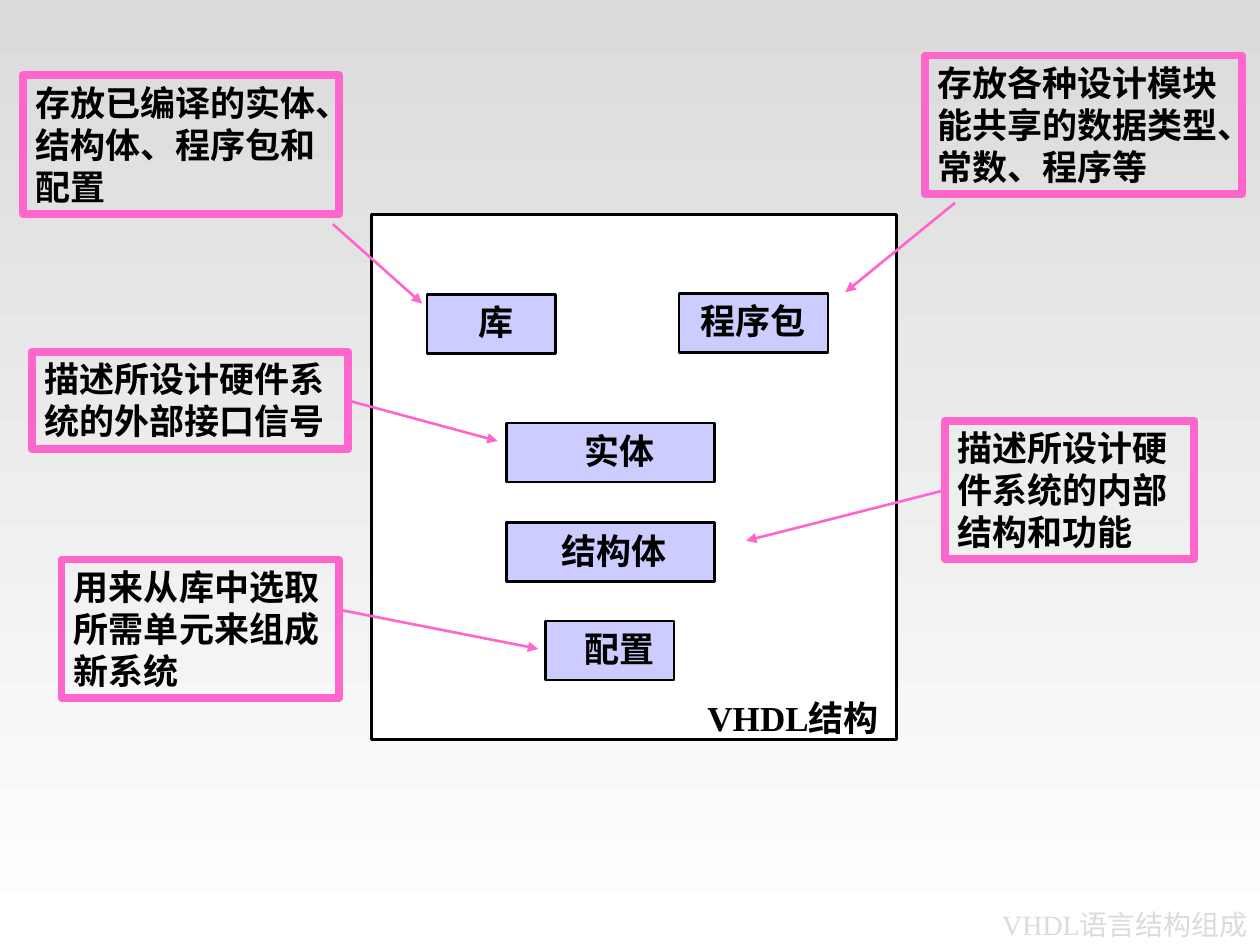
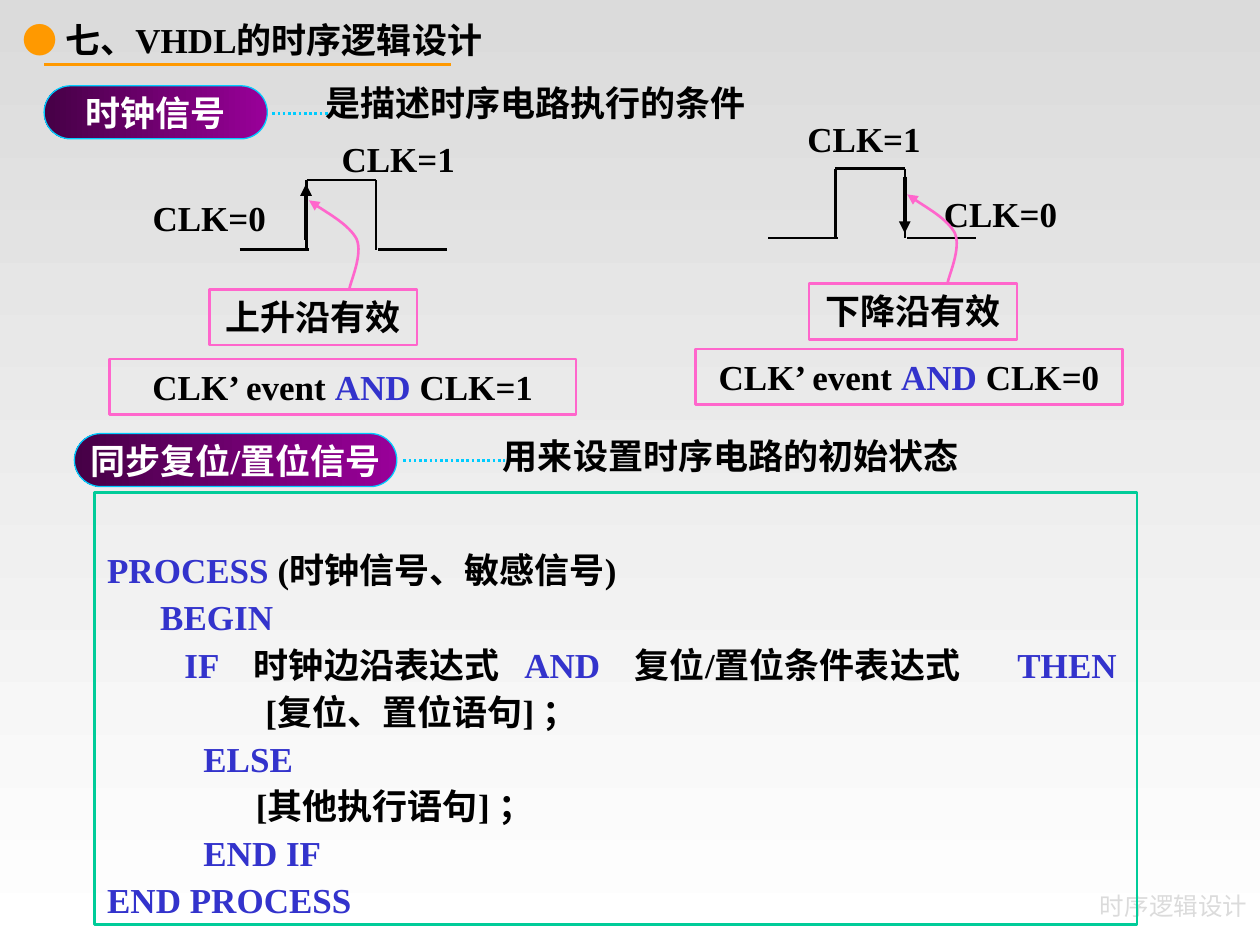
from dataclasses import dataclass

import pptx
import pptx.dml.color
import pptx.enum.dml
import pptx.enum.shapes
import pptx.enum.text
import pptx.oxml.ns
import pptx.oxml.xmlchemy
import pptx.util

Cm = pptx.util.Cm
Pt = pptx.util.Pt
qn = pptx.oxml.ns.qn
ALIGN = pptx.enum.text.PP_ALIGN
ANCHOR = pptx.enum.text.MSO_ANCHOR
SHAPE = pptx.enum.shapes.MSO_SHAPE


@dataclass(frozen=True)
class Theme:
    font: str = "Times New Roman"
    black: str = "000000"
    white: str = "FFFFFF"
    grey: str = "DBDBDB"
    lilac: str = "CCCCFF"
    pink: str = "FF66CC"
    orange: str = "FF9900"
    keyword: str = "3333CC"
    cyan: str = "00CCFF"
    green: str = "00CC99"
    purple: str = "990099"
    plum: str = "460046"
    body: float = 20
    hairline: float = 0.75
    thin: float = 1.5
    medium: float = 2.25
    thick: float = 4.5
    row: float = 1.12


T = Theme()


def rgb(value):
    return pptx.dml.color.RGBColor.from_string(value)


def add_xml(parent, tag, **attributes):
    element = pptx.oxml.xmlchemy.OxmlElement(tag)
    for name, value in attributes.items():
        element.set(name, str(value))
    parent.append(element)
    return element


def set_gradient(fill, first, last, angle):
    fill.gradient()
    fill.gradient_angle = angle
    for stop, color in zip(fill.gradient_stops, (first, last)):
        stop.color.rgb = rgb(color)


def set_line(line, color, width):
    line.color.rgb = rgb(color)
    line.width = Pt(width)


def set_font(r, color, size=T.body, bold=True):
    r.font.name = T.font
    r.font.size = Pt(size)
    r.font.bold = bold
    r.font.color.rgb = rgb(color)


def write_runs(p, parts, align):
    p.alignment = align
    for text, color in parts:
        r = p.add_run()
        r.text = text
        set_font(r, color)


def write_text(sp, parts, align=ALIGN.LEFT):
    tf = sp.text_frame
    tf.word_wrap = True
    tf.vertical_anchor = ANCHOR.TOP
    write_runs(tf.paragraphs[0], parts, align)
    return tf


def add_label(s, left, top, width, parts, align=ALIGN.CENTER):
    sp = s.shapes.add_textbox(Cm(left), Cm(top), Cm(width), Cm(T.row))
    write_text(sp, parts, align)


def add_box(s, left, top, width, height, color, weight, fill=None, kind=SHAPE.RECTANGLE):
    sp = s.shapes.add_shape(kind, Cm(left), Cm(top), Cm(width), Cm(height))
    sp.shadow.inherit = False
    set_line(sp.line, color, weight)
    if fill:
        sp.fill.solid()
        sp.fill.fore_color.rgb = rgb(fill)
    else:
        sp.fill.background()
    return sp


def add_arrowhead(line):
    add_xml(line._get_or_add_ln(), "a:tailEnd", type="triangle")


def add_line(s, start, end, color, weight=T.thin, arrow=False, dotted=False):
    kind = pptx.enum.shapes.MSO_CONNECTOR.STRAIGHT
    sp = s.shapes.add_connector(kind, *(Cm(v) for v in (*start, *end)))
    set_line(sp.line, color, weight)
    if dotted:
        sp.line.dash_style = pptx.enum.dml.MSO_LINE.ROUND_DOT
    if arrow:
        add_arrowhead(sp.line)
    add_xml(sp._element.spPr, "a:effectLst")


def add_title(s, text, left, top, width, height, size):
    sp = s.shapes.title
    sp.left, sp.top, sp.width, sp.height = (Cm(v) for v in (left, top, width, height))
    tf = sp.text_frame
    tf.text = text
    tf.auto_size = pptx.enum.text.MSO_AUTO_SIZE.NONE
    tf.vertical_anchor = ANCHOR.MIDDLE
    p = tf.paragraphs[0]
    p.alignment = ALIGN.RIGHT
    set_font(p.runs[0], T.grey, size, False)


def add_unit(s, text, left, top, width, shift):
    sp = add_box(s, left, top, width, 1.19, T.black, T.thin, T.lilac)
    tf = write_text(sp, [(text, T.black)], ALIGN.CENTER)
    tf.margin_left = Cm(0.25 + 2 * shift)


def add_note(s, text, box, start, end):
    sp = add_box(s, *box, T.pink, T.thick)
    write_text(sp, [(text, T.black)])
    add_line(s, start, end, T.pink, arrow=True)


def add_pill(s, text, left, top, width, dots_start, dots_end):
    sp = add_box(s, left, top, width, 1.07, T.cyan, T.hairline, kind=SHAPE.ROUNDED_RECTANGLE)
    sp.adjustments[0] = 0.5
    set_gradient(sp.fill, T.purple, T.plum, 180)
    tf = write_text(sp, [(text, T.white)], ALIGN.CENTER)
    tf.word_wrap = False
    tf.vertical_anchor = ANCHOR.MIDDLE
    tf.margin_left = tf.margin_right = tf.margin_top = tf.margin_bottom = 0
    add_line(s, dots_start, dots_end, T.cyan, dotted=True)


def add_pulse(s, x, y):
    step, top = 1.4, y - 1.4
    rise, fall = x + 1.35, x + 2.75
    right = fall + 0.04
    for start, end in [
        ((x, y), (x + step, y)),
        ((rise, top), (fall, top)),
        ((right, y), (right + step, y)),
        ((rise, top), (rise, y)),
        ((fall, top), (fall, y)),
    ]:
        add_line(s, start, end, T.black)


def add_curve(s, x, y):
    offsets = [(0.03, -0.18), (0.28, -0.71), (0.15, -1.02),
               (0, -1.3), (-0.61, -1.65), (-0.81, -1.8)]
    builder = s.shapes.build_freeform(Cm(x), Cm(y), scale=1.0)
    builder.add_line_segments([(Cm(x + dx), Cm(y + dy)) for dx, dy in offsets], close=False)
    sp = builder.convert_to_shape()
    sp.shadow.inherit = False
    sp.fill.background()
    set_line(sp.line, T.pink, T.thin)
    add_arrowhead(sp.line)
    outline = next(sp._element.iter(qn("a:path")))
    segments = outline.findall(qn("a:lnTo"))
    for i in range(0, len(segments), 3):
        curve = add_xml(outline, "a:cubicBezTo")
        for segment in segments[i:i + 3]:
            curve.append(segment[0])
            outline.remove(segment)


def add_edge(s, pulse, arrow, low, high, name, name_at, curve_x, level, test_box):
    add_pulse(s, *pulse)
    add_label(s, *low, 3.2, [("CLK=0", T.black)])
    add_label(s, *high, 3.2, [("CLK=1", T.black)])
    add_line(s, *arrow, T.black, T.medium, arrow=True)
    sp = add_box(s, *name_at, 4.19, T.row, T.pink, T.thin)
    write_text(sp, [(name, T.black)], ALIGN.CENTER)
    add_curve(s, curve_x, name_at[1])
    sp = add_box(s, *test_box, T.row, T.pink, T.thin)
    condition = [("CLK’ event ", T.black), ("AND", T.keyword), (f" CLK={level}", T.black)]
    write_text(sp, condition, ALIGN.CENTER)


def add_code(s, box, lines):
    sp = add_box(s, *box, T.green, T.thin)
    tf = sp.text_frame
    tf.word_wrap = True
    tf.vertical_anchor = ANCHOR.BOTTOM
    for i, (stops, parts) in enumerate(lines):
        p = tf.paragraphs[0] if i == 0 else tf.add_paragraph()
        if stops:
            tabs = add_xml(p._p.get_or_add_pPr(), "a:tabLst")
            for stop in stops:
                add_xml(tabs, "a:tab", pos=int(Cm(stop)), algn="l")
        p.line_spacing = 0.6
        if i:
            p.space_before = Pt(12.5)
        write_runs(p, parts, ALIGN.LEFT)


def build_structure(s):
    add_title(s, "VHDL语言结构组成", 19.61, 18.21, 5.79, 0.84, 16)
    add_box(s, 7.49, 4.32, 10.59, 10.59, T.black, T.thin, T.white)
    add_label(s, 13.69, 13.92, 4.6, [("VHDL结构", T.black)])
    for unit in [
        ("库", 8.61, 5.94, 2.59, 0.09),
        ("程序包", 13.69, 5.92, 3, 0),
        ("实体", 10.21, 8.53, 4.19, 0.18),
        ("结构体", 10.21, 10.54, 4.19, 0.08),
        ("配置", 11, 12.52, 2.59, 0.2),
    ]:
        add_unit(s, *unit)
    for note in [
        ("存放已编译的实体、结构体、程序包和配置",
         (0.46, 1.52, 6.38, 2.79), (6.71, 4.52), (8.51, 6.12)),
        ("存放各种设计模块能共享的数据类型、常数、程序等",
         (18.64, 1.12, 6.4, 2.79), (19.25, 4.09), (17.04, 5.89)),
        ("描述所设计硬件系统的外部接口信号",
         (0.64, 7.09, 6.38, 1.96), (7.04, 8.08), (10.03, 8.89)),
        ("描述所设计硬件系统的内部结构和功能",
         (19.05, 8.48, 5.03, 2.79), (19.05, 9.88), (15.04, 10.9)),
        ("用来从库中选取所需单元来组成新系统",
         (1.24, 11.28, 5.59, 2.79), (6.83, 12.29), (10.85, 13.08)),
    ]:
        add_note(s, *note)


def build_sequential(s):
    add_title(s, "时序逻辑设计", 21.11, 17.93, 4.29, 0.66, 14)
    heading = [("● ", T.orange), ("七、VHDL的时序逻辑设计", T.black)]
    add_label(s, 0.2, 0.25, 12.29, heading, ALIGN.LEFT)
    add_line(s, (0.89, 1.3), (9.09, 1.3), T.orange, T.medium)

    add_pill(s, "时钟信号", 0.89, 1.73, 4.5, (5.49, 2.29), (6.91, 2.29))
    add_label(s, 5.69, 1.52, 10.21, [("是描述时序电路执行的条件", T.black)])
    add_edge(s, (4.83, 5.03), ((6.17, 4.83), (6.17, 3.71)), (2.62, 3.84), (6.43, 2.64),
             "上升沿有效", (4.22, 5.84), 7.04, 1, (2.21, 7.24, 9.4))
    add_edge(s, (15.49, 4.8), ((18.24, 3.56), (18.24, 4.7)), (18.57, 3.76), (15.82, 2.24),
             "下降沿有效", (16.31, 5.72), 19.1, 0, (14.02, 7.04, 8.61))

    add_pill(s, "同步复位/置位信号", 1.5, 8.74, 6.5, (8.13, 9.28), (10.19, 9.28))
    add_label(s, 9.63, 8.64, 10.21, [("用来设置时序电路的初始状态", T.black)])
    add_code(s, (1.91, 9.93, 21.01, 8.71), [
        ([], [("PROCESS ", T.keyword), ("(时钟信号、敏感信号)", T.black)]),
        ([1.07], [("\tBEGIN", T.keyword)]),
        ([1.56, 2.96, 8.41, 10.64, 18.35],
         [("\tIF", T.keyword), ("\t时钟边沿表达式", T.black), ("\tAND", T.keyword),
          ("\t复位/置位条件表达式", T.black), ("\tTHEN", T.keyword)]),
        ([3.19], [("\t[复位、置位语句] ；", T.black)]),
        ([1.94], [("\tELSE", T.keyword)]),
        ([3], [("\t[其他执行语句] ；", T.black)]),
        ([1.94], [("\tEND IF", T.keyword)]),
        ([], [("END PROCESS", T.keyword)]),
    ])


def main():
    prs = pptx.Presentation()
    prs.slide_width, prs.slide_height = Cm(25.4), Cm(19.05)
    set_gradient(prs.slide_master.background.fill, T.grey, T.white, 270)
    title_only = prs.slide_layouts[5]
    for build in (build_structure, build_sequential):
        build(prs.slides.add_slide(title_only))
    prs.save("out.pptx")


if __name__ == "__main__":
    main()
